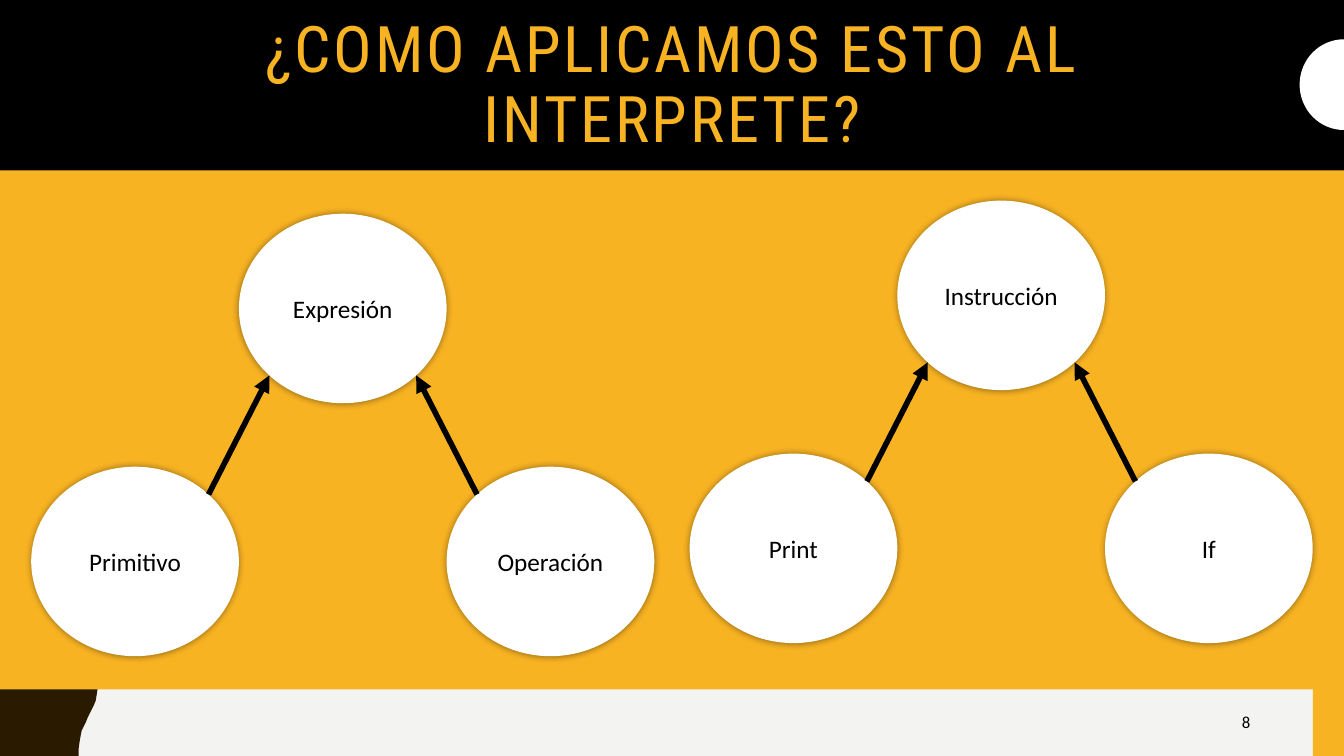
"""Build the slide that applies class hierarchies to the interpreter."""
from dataclasses import dataclass
from math import cos, pi, sin, sqrt

from pptx import Presentation
from pptx.dml.color import RGBColor
from pptx.enum.shapes import MSO_CONNECTOR as CXN, MSO_SHAPE as SHAPE
from pptx.enum.text import MSO_ANCHOR as ANCHOR, PP_ALIGN as ALIGN
from pptx.oxml import parse_xml
from pptx.oxml.ns import nsdecls, qn
from pptx.util import Inches, Pt

W, H = 13.33, 7.5
NODE_W, NODE_H = 2.06, 1.88
CHILD_DROP = 2.51
BLACK, WHITE, AMBER, BROWN, PALE = "000000", "FFFFFF", "F8B323", "2A1A00", "F3F3F2"
HALF_WAVE = [
    (0.78, 0), (0.78, 0.07), (0.79, 0.14), (0.8, 0.2), (0.81, 0.25),
    (0.83, 0.29), (0.85, 0.33), (0.87, 0.38), (0.89, 0.42), (0.91, 0.46),
    (0.93, 0.5), (0.95, 0.55), (0.96, 0.61), (0.97, 0.68), (0.97, 0.75),
]
WAVE_PERIOD = 1.5
WAVE_COUNT = 5


@dataclass
class Box:
    left: float
    top: float
    width: float
    height: float
    color: str


@dataclass
class Tree:
    parent: str
    children: tuple[str, str]
    left: float
    top: float


BANDS = [
    Box(W - 0.31, 0, 0.31, H, AMBER),
    Box(0, 1.68, W, 5.16, AMBER),
    Box(0, 0, W, 1.69, BLACK),
]
TREES = [
    Tree("Expresión", ("Primitivo", "Operación"), 2.37, 2.12),
    Tree("Instrucción", ("Print", "If"), 8.9, 1.99),
]


def rgb(color: str) -> RGBColor:
    return RGBColor.from_string(color)


def paint(sp, color: str) -> None:
    sp.shadow.inherit = False
    sp.fill.solid()
    sp.fill.fore_color.rgb = rgb(color)
    sp.line.fill.background()


def write(tf, text: str, *, size: float, font: str = "Calibri", color: str = BLACK,
          align=ALIGN.CENTER, line_spacing: float = 1.0, tracking: float = 0) -> None:
    tf.word_wrap = True
    tf.vertical_anchor = ANCHOR.MIDDLE
    p = tf.paragraphs[0]
    p.alignment = align
    p.line_spacing = line_spacing
    r = p.add_run()
    r.text = text
    r.font.size = Pt(size)
    r.font.name = font
    r.font.color.rgb = rgb(color)
    if tracking:
        r.font._element.set("spc", str(int(tracking * 100)))


def add_shape(s, kind, box: Box):
    sp = s.shapes.add_shape(kind, Inches(box.left), Inches(box.top),
                            Inches(box.width), Inches(box.height))
    paint(sp, box.color)
    return sp


def add_outline(s, points: list[tuple[float, float]], color: str) -> None:
    start, *rest = [(Inches(x), Inches(y)) for x, y in points]
    fb = s.shapes.build_freeform(*start)
    fb.add_line_segments(rest, close=True)
    paint(fb.convert_to_shape(), color)


def add_wave(s) -> None:
    period = HALF_WAVE + [(x, WAVE_PERIOD - y) for x, y in HALF_WAVE[-2::-1]]
    edge = [(x, y + n * WAVE_PERIOD) for n in range(WAVE_COUNT) for x, y in period]
    add_outline(s, [(0, 0), *edge, (0, H)], BROWN)


def add_half_disc(s) -> None:
    steps = 32
    angles = [pi / 2 + pi * n / steps for n in range(steps + 1)]
    add_outline(s, [(W + 0.44 * cos(a), 0.84 + 0.45 * sin(a)) for a in angles], WHITE)


def add_node(s, text: str, left: float, top: float) -> None:
    sp = add_shape(s, SHAPE.OVAL, Box(left, top, NODE_W, NODE_H, WHITE))
    sp._element.spPr.find(qn("a:effectLst")).append(parse_xml(
        f'<a:outerShdw {nsdecls("a")} blurRad="{Pt(5)}" dist="0" dir="0" rotWithShape="0">'
        f'<a:srgbClr val="{BLACK}"><a:alpha val="40000"/></a:srgbClr></a:outerShdw>'))
    write(sp.text_frame, text, size=18)


def add_arrow(s, x1: float, y1: float, x2: float, y2: float) -> None:
    cx = s.shapes.add_connector(CXN.STRAIGHT, Inches(x1), Inches(y1), Inches(x2), Inches(y2))
    cx.line.color.rgb = rgb(BLACK)
    cx.line.width = Pt(4)
    cx.line._get_or_add_ln().append(parse_xml(f'<a:tailEnd {nsdecls("a")} type="triangle"/>'))
    cx._element.spPr.append(parse_xml(f'<a:effectLst {nsdecls("a")}/>'))


def add_tree(s, tree: Tree) -> None:
    dx, dy = NODE_W / sqrt(8), NODE_H / sqrt(8)
    mid_x, mid_y = tree.left + NODE_W / 2, tree.top + NODE_H / 2
    add_node(s, tree.parent, tree.left, tree.top)
    for side, child in zip((-1, 1), tree.children):
        add_node(s, child, tree.left + side * NODE_W, tree.top + CHILD_DROP)
        add_arrow(s, mid_x + side * (NODE_W - dx), mid_y + CHILD_DROP - dy,
                  mid_x + side * dx, mid_y + dy)


def add_title(s, text: str) -> None:
    title = s.shapes.title
    title.left, title.top = Inches(0.83), Inches(0.31)
    title.width, title.height = Inches(11.68), Inches(1.1)
    write(title.text_frame, text, size=45.9, font="Roboto Condensed", color=AMBER,
          line_spacing=0.9, tracking=2)
    s.shapes._spTree.append(title._element)


def add_page_number(s, number: str) -> None:
    tb = s.shapes.add_textbox(Inches(9.42), Inches(6.97), Inches(3.08), Inches(0.38))
    write(tb.text_frame, number, size=12, align=ALIGN.RIGHT)


def main() -> None:
    prs = Presentation()
    prs.slide_width, prs.slide_height = Inches(W), Inches(H)
    s = prs.slides.add_slide(prs.slide_layouts[5])
    s.background.fill.solid()
    s.background.fill.fore_color.rgb = rgb(PALE)
    add_wave(s)
    for band in BANDS:
        add_shape(s, SHAPE.RECTANGLE, band)
    add_half_disc(s)
    add_page_number(s, "8")
    add_title(s, "¿COMO APLICAMOS ESTO AL INTERPRETE?")
    for tree in TREES:
        add_tree(s, tree)
    prs.save("out.pptx")


if __name__ == "__main__":
    main()
